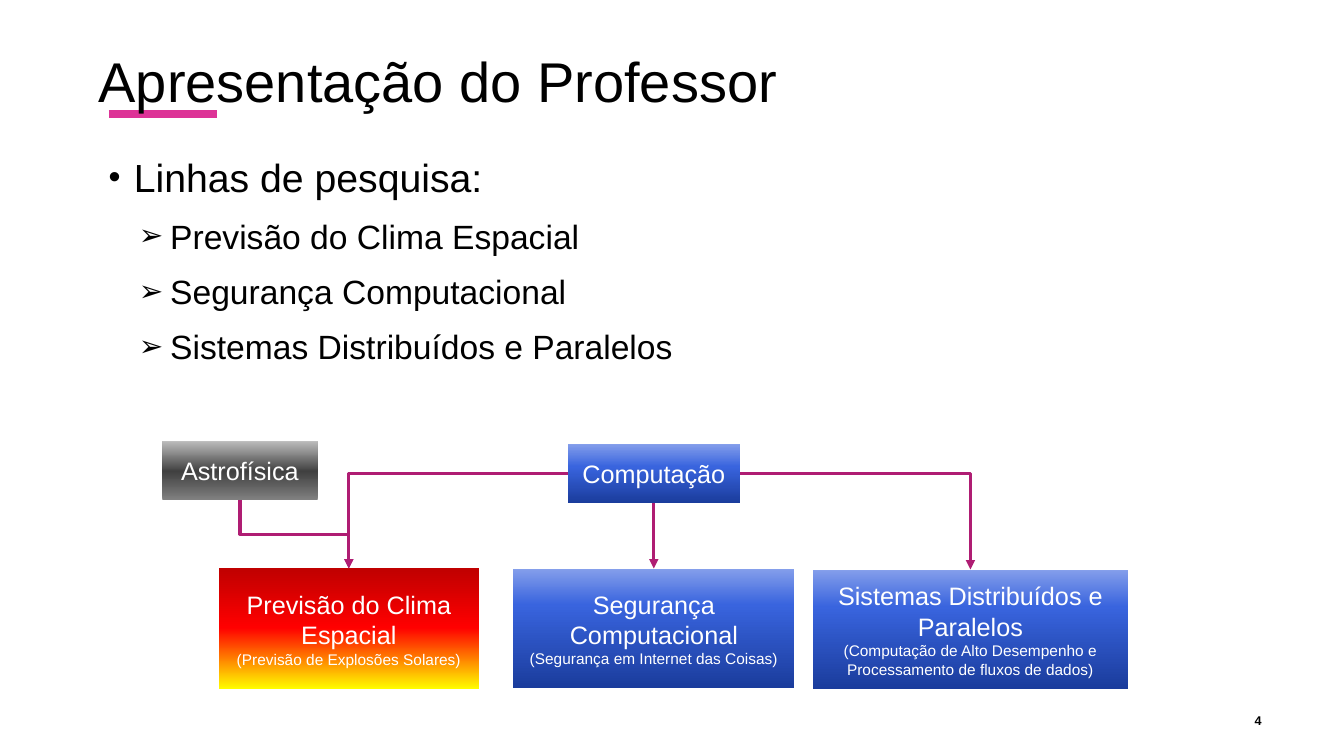
from copy import deepcopy
from pptx import Presentation
from pptx import util as u
from pptx.dml.color import RGBColor
from pptx.enum import shapes, text
from pptx.oxml import parse_xml
from pptx.oxml.ns import nsdecls, qn

COLORS = {"black": "000000", "white": "FFFFFF", "accent": "DD3397", "arrow": "AF1D73",
          "navy": "1A3C9C", "blue": "3964DE", "sky": "859FEB",
          "gray": "808080", "charcoal": "404040", "silver": "BFBFBF",
          "yellow": "FFFF00", "red": "FF0000", "crimson": "C00000"}
FONT = "Arial"
TITLE = "Apresentação do Professor"
PAGE = "4"
HEADING = "Linhas de pesquisa:"
TOPICS = ["Previsão do Clima Espacial", "Segurança Computacional",
          "Sistemas Distribuídos e Paralelos"]
BLUES = ("navy", "blue", "sky")
GRAYS = ("gray", "charcoal", "silver")
FLAMES = ("yellow", "red", "crimson")
BOXES = {
    "computing": ("Computação", "", (5.63, 4.4, 1.71, 0.59), BLUES, 0.61),
    "astro": ("Astrofísica", "", (1.61, 4.37, 1.54, 0.59), GRAYS, 0.48),
    "weather": (TOPICS[0], "(Previsão de Explosões Solares)",
                (2.17, 5.64, 2.58, 1.2), FLAMES, 0.51),
    "security": (TOPICS[1], "(Segurança em Internet das Coisas)",
                 (5.09, 5.64, 2.79, 1.19), BLUES, 0.7),
    "systems": (TOPICS[2], "(Computação de Alto Desempenho e Processamento de fluxos de dados)",
                (8.06, 5.65, 3.13, 1.19), BLUES, 0.69),
}


def rgb(name):
    return RGBColor.from_string(COLORS[name])


def add_text(paragraph, words, size, color="black", bold=False, spacing=None):
    run = paragraph.add_run()
    run.text = words
    run.font.name, run.font.size, run.font.bold = FONT, u.Pt(size), bold
    run.font.color.rgb = rgb(color)
    if spacing:
        run.font._element.set("spc", str(spacing))


def add_frame(slide, left, top, width, height):
    frame = slide.shapes.add_textbox(*map(u.Inches, (left, top, width, height))).text_frame
    frame.word_wrap = True
    return frame


def add_bullet(paragraph, mark, left, hanging):
    props = paragraph._p.get_or_add_pPr()
    props.set("marL", str(u.Inches(left)))
    props.set("indent", str(-u.Inches(hanging)))
    props.append(parse_xml(f'<a:buSzPct {nsdecls("a")} val="87000"/>'))
    props.append(parse_xml(f'<a:buFont {nsdecls("a")} typeface="{FONT}"/>'))
    props.append(parse_xml(f'<a:buChar {nsdecls("a")} char="{mark}"/>'))
    paragraph.line_spacing = 1.2


def add_box(slide, label, detail, place, shades, middle):
    box = slide.shapes.add_shape(shapes.MSO_SHAPE.RECTANGLE, *map(u.Inches, place))
    box.shadow.inherit = False
    box.line.fill.background()
    box.fill.gradient()
    box.fill.gradient_angle = 90
    stop_list = box._element.spPr.find(".//" + qn("a:gsLst"))
    stop_list.append(deepcopy(stop_list[0]))
    for stop, shade, position in zip(box.fill.gradient_stops, shades, (0, middle, 1)):
        stop.color.rgb = rgb(shade)
        stop.position = position
    frame = box.text_frame
    frame.word_wrap = True
    frame.vertical_anchor = text.MSO_ANCHOR.MIDDLE
    paragraph = frame.paragraphs[0]
    paragraph.alignment = text.PP_ALIGN.CENTER
    add_text(paragraph, label, 18, "white")
    if detail:
        paragraph.add_line_break()
        add_text(paragraph, detail, 11, "white")
    return box


def add_line(slide, kind, start, end, color, width, arrow=True):
    line = slide.shapes.add_connector(kind, *map(int, (*start, *end)))
    line.line.color.rgb = rgb(color)
    line.line.width = u.Pt(width)
    if arrow:
        line.line._get_or_add_ln().append(
            parse_xml(f'<a:tailEnd {nsdecls("a")} type="triangle"/>'))
    line._element.spPr.append(parse_xml(f'<a:effectLst {nsdecls("a")}/>'))
    return line


def side(box, across, down):
    return box.left + box.width * across, box.top + box.height * down


def main():
    """Build the slide on the professor's research lines."""
    deck = Presentation()
    deck.slide_width, deck.slide_height = u.Inches(13.33), u.Inches(7.5)
    slide = deck.slides.add_slide(deck.slide_layouts[6])
    straight, elbow = shapes.MSO_CONNECTOR.STRAIGHT, shapes.MSO_CONNECTOR.ELBOW

    add_line(slide, straight, (u.Inches(1.08), u.Inches(1.13)),
             (u.Inches(2.15), u.Inches(1.13)), "accent", 6, arrow=False)
    title = add_frame(slide, 0.88, 0.35, 11.33, 0.89)
    title.margin_top = u.Inches(0.11)
    add_text(title.paragraphs[0], TITLE, 40)

    page = add_frame(slide, 11.82, 6.95, 0.79, 0.4)
    page.vertical_anchor = text.MSO_ANCHOR.MIDDLE
    page.paragraphs[0].alignment = text.PP_ALIGN.RIGHT
    add_text(page.paragraphs[0], PAGE, 9, bold=True, spacing=300)

    body = add_frame(slide, 0.98, 1.38, 6.36, 2.57)
    add_bullet(body.paragraphs[0], "•", 0.25, 0.25)
    add_text(body.paragraphs[0], HEADING, 28)
    for topic in TOPICS:
        paragraph = body.add_paragraph()
        paragraph.level = 1
        add_bullet(paragraph, "➢", 0.61, 0.31)
        paragraph.space_before = u.Pt(5)
        add_text(paragraph, topic, 24)

    box = {key: add_box(slide, *content) for key, content in BOXES.items()}

    (x1, y1), (x2, y2) = side(box["astro"], 0.5, 1), side(box["weather"], 0.5, 0)
    mid_x, mid_y = (x1 + x2) / 2, (y1 + y2) / 2
    half_w, half_h = (y2 - y1) / 2, (x2 - x1) / 2
    step = add_line(slide, elbow, (mid_x + half_w, mid_y - half_h),
                    (mid_x - half_w, mid_y + half_h), "arrow", 2.25)
    step._element.spPr.find(qn("a:xfrm")).set("rot", "16200000")

    for across, target in ((0, "weather"), (1, "systems")):
        corner = add_line(slide, elbow, side(box["computing"], across, 0.5),
                          side(box[target], 0.5, 0), "arrow", 2.25)
        corner._element.spPr.find(qn("a:prstGeom")).set("prst", "bentConnector2")

    drop = add_line(slide, straight, side(box["computing"], 0.5, 1),
                    side(box["security"], 0.5, 0), "arrow", 2.25)
    drop.begin_connect(box["computing"], 2)
    drop.end_connect(box["security"], 0)
    deck.save("out.pptx")


if __name__ == "__main__":
    main()
